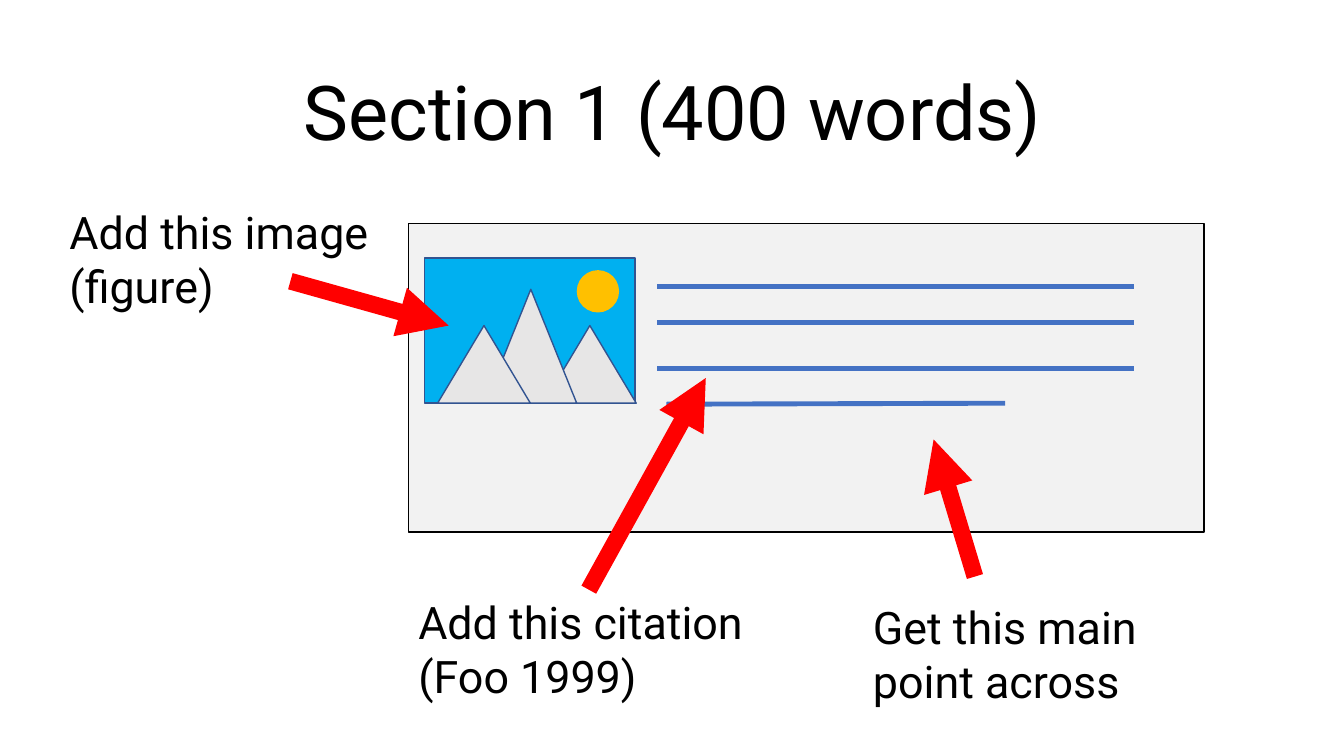
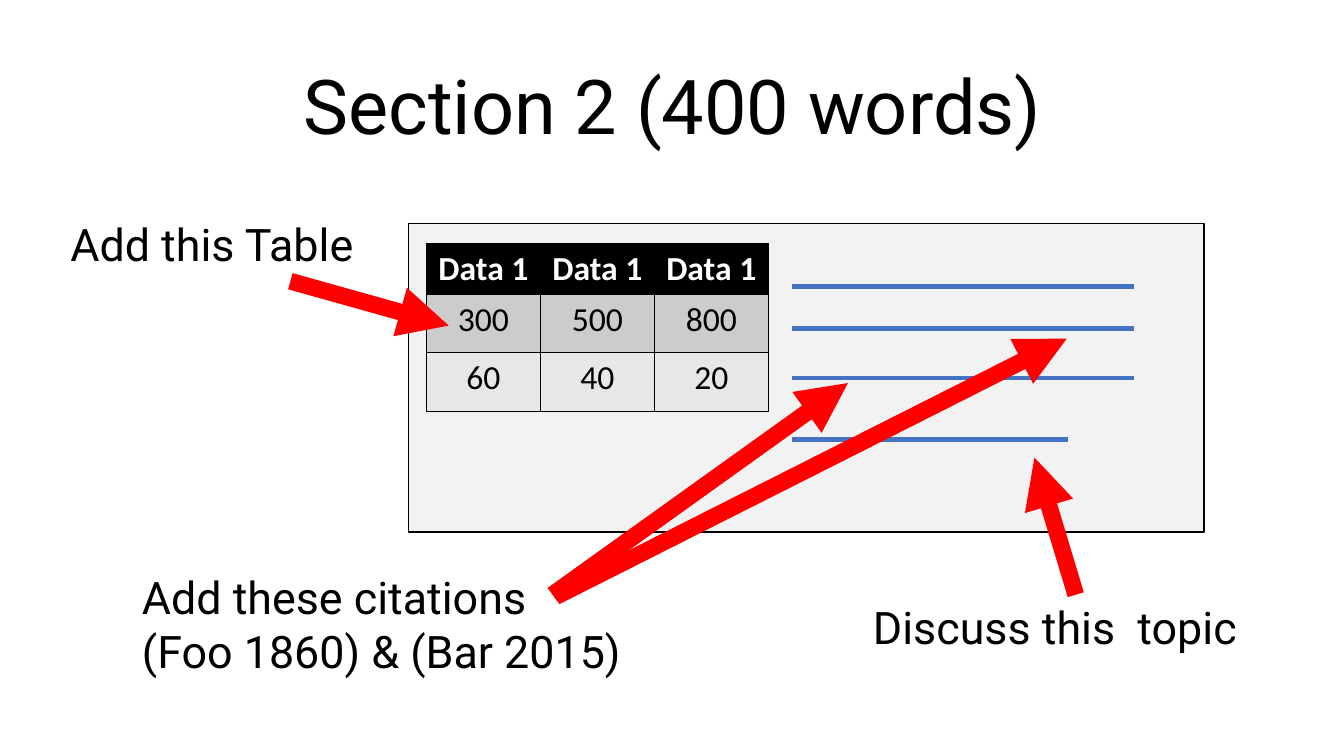
from dataclasses import dataclass
from typing import NamedTuple, Optional

from lxml.etree import SubElement
from pptx import Presentation
from pptx.dml.color import RGBColor
from pptx.enum.shapes import MSO_CONNECTOR, MSO_SHAPE
from pptx.enum.text import MSO_ANCHOR, MSO_AUTO_SIZE, PP_ALIGN
from pptx.oxml.ns import qn
from pptx.util import Emu, Pt

EMU_PER_PX = 9144  # 100 px to the inch


@dataclass(frozen=True)
class Theme:
    black: str = "000000"
    white: str = "FFFFFF"
    panel: str = "F2F2F2"
    text_line: str = "4472C4"
    arrow: str = "FF0000"
    sky: str = "00B0F0"
    sun: str = "FFC000"
    mountain: str = "E7E6E6"
    outline: str = "325491"
    table_rows: tuple[str, ...] = ("000000", "CCCCCC", "E7E7E7")
    font: str = "Roboto"
    table_font: str = "Calibri"
    title_size: float = 54
    note_size: float = 32
    table_size: float = 24
    thin: float = 1
    text_line_width: float = 3.5
    arrow_width: float = 12


THEME = Theme()


class Box(NamedTuple):
    left: int
    top: int
    width: int
    height: int


class Stroke(NamedTuple):
    x1: int
    y1: int
    x2: int
    y2: int


class Note(NamedTuple):
    text: str
    box: Box


class Section(NamedTuple):
    title: str
    title_top: int
    text_lines: list[Stroke]
    notes: list[Note]
    arrows: list[Stroke]


PANEL = Box(405, 222, 789, 306)
FIGURE_ARROW = Stroke(288, 279, 445, 323)
TABLE_BOX = Box(423, 242, 339, 158)
ROW_HEIGHTS = (42, 58, 58)
TABLE_DATA = (("Data 1",) * 3, ("300", "500", "800"), ("60", "40", "20"))

FIGURE_SECTION = Section(
    "Section 1 (400 words)", 59,
    [*(Stroke(652, y, 1125, y) for y in (284, 320, 366)), Stroke(661, 401, 997, 400)],
    [Note("Get this main point across", Box(856, 590, 337, 118)),
     Note("Add this image (figure)", Box(59, 198, 399, 118)),
     Note("Add this citation\n(Foo 1999)", Box(405, 585, 359, 118))],
    [Stroke(584, 585, 700, 375), Stroke(967, 572, 926, 436), FIGURE_ARROW])

TABLE_SECTION = Section(
    "Section 2 (400 words)", 53,
    [*(Stroke(786, y, 1125, y) for y in (284, 326, 375)), Stroke(786, 436, 1059, 436)],
    [Note("Discuss this  topic", Box(856, 590, 444, 64)),
     Note("Add this Table", Box(60, 210, 353, 64)),
     Note("Add these citations\n(Foo 1860) & (Bar 2015)", Box(131, 560, 496, 118))],
    [Stroke(548, 590, 841, 380), Stroke(1067, 590, 1026, 454), FIGURE_ARROW,
     Stroke(551, 592, 1058, 336)])


def px(length: int) -> Emu:
    return Emu(length * EMU_PER_PX)


def rgb(colour: str) -> RGBColor:
    return RGBColor.from_string(colour)


def style_text(frame, size: float, font: str, colour: str = THEME.black,
               align: PP_ALIGN = PP_ALIGN.LEFT, bold: bool = False) -> None:
    for paragraph in frame.paragraphs:
        paragraph.alignment = align
        for run in paragraph.runs:
            run.font.size = Pt(size)
            run.font.name = font
            run.font.bold = bold
            run.font.color.rgb = rgb(colour)


def add_title(slide, text: str, top: int) -> None:
    title = slide.shapes.title
    title.left, title.top, title.width, title.height = map(px, Box(291, top, 752, 101))
    frame = title.text_frame
    frame.text = text
    frame.word_wrap = False
    frame.auto_size = MSO_AUTO_SIZE.SHAPE_TO_FIT_TEXT
    frame.vertical_anchor = MSO_ANCHOR.TOP
    style_text(frame, THEME.title_size, THEME.font, align=PP_ALIGN.CENTER)


def add_note(slide, note: Note) -> None:
    frame = slide.shapes.add_textbox(*map(px, note.box)).text_frame
    frame.text = note.text
    frame.word_wrap = True
    frame.auto_size = MSO_AUTO_SIZE.SHAPE_TO_FIT_TEXT
    style_text(frame, THEME.note_size, THEME.font)


def add_filled(shapes, kind: MSO_SHAPE, box: Box, fill: str,
               outline: Optional[str] = None) -> None:
    shape = shapes.add_shape(kind, *map(px, box))
    shape.shadow.inherit = False
    shape.fill.solid()
    shape.fill.fore_color.rgb = rgb(fill)
    if outline is None:
        shape.line.fill.background()
    else:
        shape.line.color.rgb = rgb(outline)
        shape.line.width = Pt(THEME.thin)


def add_stroke(slide, stroke: Stroke, colour: str, width: float,
               arrowhead: bool = False) -> None:
    connector = slide.shapes.add_connector(MSO_CONNECTOR.STRAIGHT, *map(px, stroke))
    connector.line.color.rgb = rgb(colour)
    connector.line.width = Pt(width)
    properties = connector.element.spPr
    if arrowhead:
        SubElement(properties.find(qn("a:ln")), qn("a:tailEnd"), type="triangle")
    SubElement(properties, qn("a:effectLst"))


def add_landscape(slide) -> None:
    """Draw the sample figure: sky, sun and three mountains."""
    shapes = slide.shapes.add_group_shape().shapes
    add_filled(shapes, MSO_SHAPE.RECTANGLE, Box(421, 256, 209, 144), THEME.sky, THEME.outline)
    add_filled(shapes, MSO_SHAPE.OVAL, Box(572, 268, 42, 42), THEME.sun)
    for mountain in (Box(539, 323, 92, 77), Box(481, 287, 91, 113), Box(434, 323, 92, 77)):
        add_filled(shapes, MSO_SHAPE.ISOSCELES_TRIANGLE, mountain,
                   THEME.mountain, THEME.outline)


def add_cell_borders(cell) -> None:
    properties = cell._tc.get_or_add_tcPr()
    for position, side in enumerate(("a:lnL", "a:lnR", "a:lnT", "a:lnB")):
        border = properties.makeelement(qn(side), {"w": str(Pt(THEME.thin))})
        fill = SubElement(border, qn("a:solidFill"))
        SubElement(fill, qn("a:srgbClr"), val=THEME.black)
        properties.insert(position, border)


def add_data_table(slide) -> None:
    table = slide.shapes.add_table(
        len(TABLE_DATA), len(TABLE_DATA[0]), *map(px, TABLE_BOX)).table
    for row, height in zip(table.rows, ROW_HEIGHTS):
        row.height = px(height)
    for row_index, values in enumerate(TABLE_DATA):
        header = row_index == 0
        for column_index, value in enumerate(values):
            cell = table.cell(row_index, column_index)
            cell.text_frame.text = value
            cell.fill.solid()
            cell.fill.fore_color.rgb = rgb(THEME.table_rows[row_index])
            style_text(cell.text_frame, THEME.table_size, THEME.table_font,
                       THEME.white if header else THEME.black, PP_ALIGN.CENTER, header)
            add_cell_borders(cell)


def add_section(presentation, section: Section, add_exhibit) -> None:
    slide = presentation.slides.add_slide(presentation.slide_layouts[5])
    add_title(slide, section.title, section.title_top)
    add_filled(slide.shapes, MSO_SHAPE.RECTANGLE, PANEL, THEME.panel, THEME.black)
    for text_line in section.text_lines:
        add_stroke(slide, text_line, THEME.text_line, THEME.text_line_width)
    for note in section.notes:
        add_note(slide, note)
    add_exhibit(slide)
    for arrow in section.arrows:
        add_stroke(slide, arrow, THEME.arrow, THEME.arrow_width, arrowhead=True)


def main() -> None:
    presentation = Presentation()
    presentation.slide_width, presentation.slide_height = px(1333), px(750)
    add_section(presentation, FIGURE_SECTION, add_landscape)
    add_section(presentation, TABLE_SECTION, add_data_table)
    presentation.save("out.pptx")


if __name__ == "__main__":
    main()
